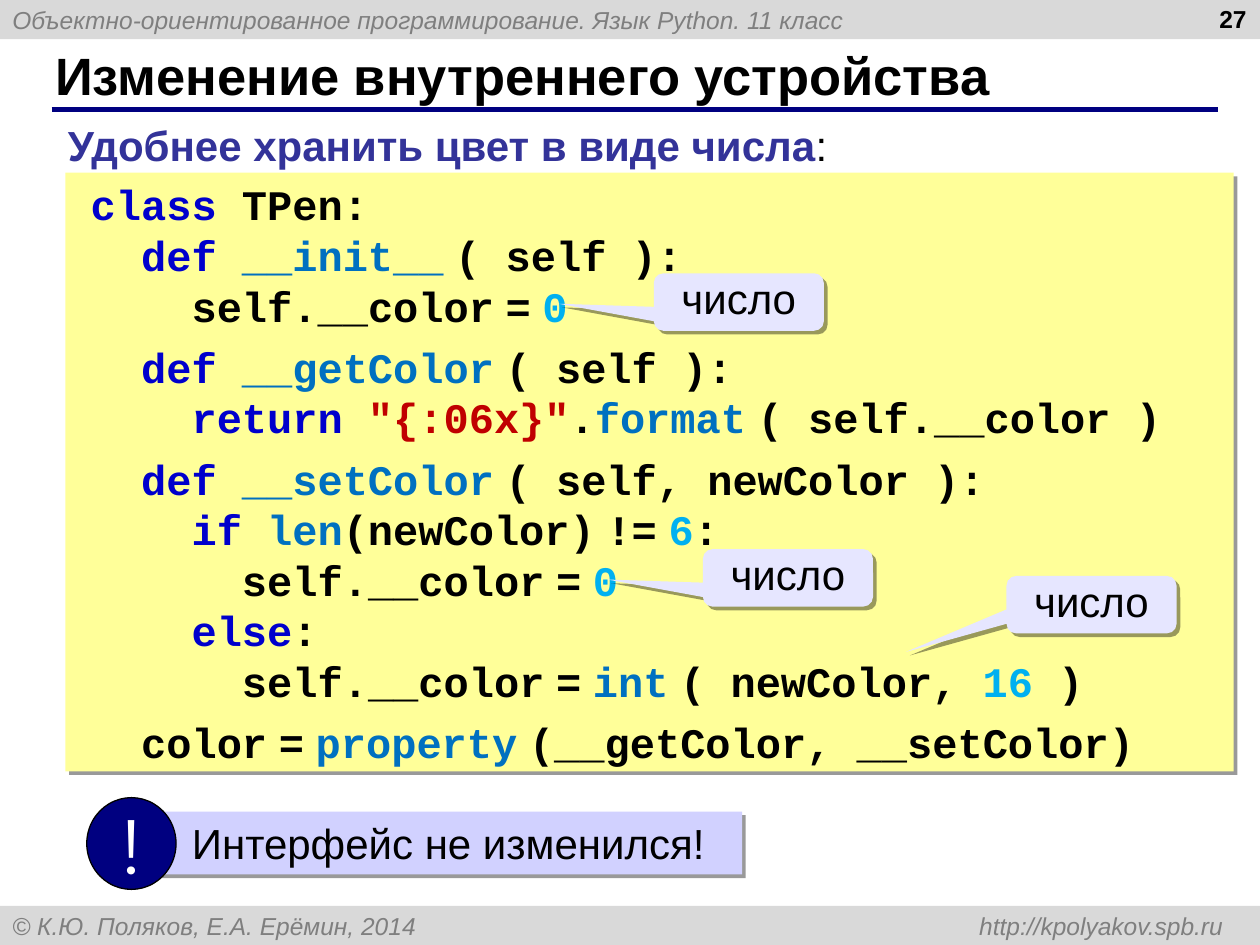
from lxml import etree
from pptx import Presentation
from pptx.dml.color import RGBColor
from pptx.enum.shapes import MSO_CONNECTOR, MSO_SHAPE
from pptx.enum.text import MSO_ANCHOR, PP_ALIGN
from pptx.oxml.ns import qn
from pptx.util import Cm, Pt

RECTANGLE, OVAL = MSO_SHAPE.RECTANGLE, MSO_SHAPE.OVAL
CALLOUT = MSO_SHAPE.ROUNDED_RECTANGULAR_CALLOUT
STRAIGHT = MSO_CONNECTOR.STRAIGHT
TOP, MIDDLE = MSO_ANCHOR.TOP, MSO_ANCHOR.MIDDLE
LEFT, CENTER, RIGHT = PP_ALIGN.LEFT, PP_ALIGN.CENTER, PP_ALIGN.RIGHT

COLORS = {
    "bar": "D9D9D9", "bar text": "7F7F7F", "navy": "000080", "black": "000000",
    "white": "FFFFFF", "lead": "333399", "code": "FFFF99", "note": "D1D1FF",
    "callout": "E6E6FF", "keyword": "0000CC", "name": "0070C0",
    "number": "00B0F0", "string": "C00000", "plain": "000000",
}

HEADER = "Объектно-ориентированное программирование. Язык Python. 11 класс"
FOOTER = "© К.Ю. Поляков, Е.А. Ерёмин, 2014 \thttp://kpolyakov.spb.ru"
TITLE = "Изменение внутреннего устройства"
PAGE_NUMBER = "27"
LEAD = [("Удобнее хранить цвет в виде числа", "lead", True), (":", "black", False)]
NOTE = "Интерфейс не изменился!"

GAP = (" ", "gap")
EQUALS = [GAP, ("=", "plain"), GAP]
CODE = [
    [[("class", "keyword"), (" TPen:", "plain")],
     [("  def ", "keyword"), ("__init__", "name"), GAP, ("( self ):", "plain")],
     [("    self.__color", "plain"), *EQUALS, ("0", "number")]],
    [[("  def ", "keyword"), ("__getColor", "name"), GAP, ("( self ):", "plain")],
     [("    return ", "keyword"), ('"{:06x}"', "string"), (".", "plain"),
      ("format", "name"), GAP, ("( self.__color )", "plain")]],
    [[("  def ", "keyword"), ("__setColor", "name"), GAP,
      ("( self, newColor ):", "plain")],
     [("    if ", "keyword"), ("len", "name"), ("(newColor)", "plain"), GAP,
      ("!=", "plain"), GAP, ("6", "number"), (":", "plain")],
     [("      self.__color", "plain"), *EQUALS, ("0", "number")],
     [("    else", "keyword"), (":", "plain")],
     [("      self.__color", "plain"), *EQUALS, ("int", "name"), GAP,
      ("( newColor, ", "plain"), ("16", "number"), (" )", "plain")]],
    [[("  color", "plain"), *EQUALS, ("property", "name"), GAP,
      ("(__getColor, __setColor)", "plain")]],
]

CALLOUT_TEXT = "число"
CALLOUTS = [
    (13.18, 5.51, -1.06, 0.03),
    (14.17, 11.07, -1.06, 0.03),
    (20.29, 11.61, -1.09, 0.82),
]


def color(name):
    return RGBColor.from_string(COLORS[name])


def style(span, size, tint, bold=False, italic=False, font="Arial"):
    span.font.name = font
    span.font.size = Pt(size)
    span.font.bold = bold
    span.font.italic = italic
    span.font.color.rgb = color(tint)


def add_block(shapes, kind, place, fill, shadow=False):
    shape = shapes.add_shape(kind, *map(Cm, place))
    shape.fill.solid()
    shape.fill.fore_color.rgb = color(fill)
    shape.line.fill.background()
    shape.shadow.inherit = False
    if shadow:
        effects = shape._element.spPr.find(qn("a:effectLst"))
        outer = etree.SubElement(effects, qn("a:outerShdw"), blurRad="0",
                                 dist=str(Pt(3)), dir="2700000", algn="ctr",
                                 rotWithShape="0")
        black = etree.SubElement(outer, qn("a:srgbClr"), val=COLORS["black"])
        etree.SubElement(black, qn("a:alpha"), val="40000")
    return shape


def write(shape, text, size, tint, anchor=TOP, align=LEFT, wrap=True, **look):
    frame = shape.text_frame
    frame.text = text
    frame.word_wrap = wrap
    frame.vertical_anchor = anchor
    para = frame.paragraphs[0]
    para.alignment = align
    for span in para.runs:
        style(span, size, tint, **look)
    return para


def indent(para, left, first=0):
    properties = para._p.get_or_add_pPr()
    properties.set("marL", str(Cm(left)))
    properties.set("indent", str(Cm(first)))
    return properties


def add_frame(page):
    for top, text in ((0, HEADER), (18.26, FOOTER)):
        bar = add_block(page.shapes, RECTANGLE, (0, top, 25.4, 0.79), "bar")
        para = write(bar, text, 14, "bar text", MIDDLE, italic=True)
    tabs = etree.SubElement(para._p.get_or_add_pPr(), qn("a:tabLst"))
    etree.SubElement(tabs, qn("a:tab"), pos=str(Cm(24.41)), algn="r")

    rule = page.shapes.add_connector(STRAIGHT, Cm(1.04), Cm(2.21), Cm(24.56), Cm(2.21))
    rule.line.color.rgb = color("navy")
    rule.line.width = Pt(3)
    etree.SubElement(rule._element.spPr, qn("a:effectLst"))

    title = page.shapes.add_textbox(Cm(0.86), Cm(0.84), Cm(23.27), Cm(1.32))
    write(title, TITLE, 30, "black", MIDDLE, bold=True)
    number = page.shapes.add_textbox(Cm(19.46), Cm(-0.05), Cm(5.92), Cm(1.32))
    write(number, PAGE_NUMBER, 14, "black", align=RIGHT, bold=True)


def add_code(page):
    box = add_block(page.shapes, RECTANGLE, (1.32, 3.48, 23.55, 12.07), "code", True)
    frame = box.text_frame
    frame.word_wrap = True
    frame.vertical_anchor = TOP
    para = frame.paragraphs[0]
    for group_index, group in enumerate(CODE):
        for line_index, line in enumerate(group):
            if group_index or line_index:
                para = frame.add_paragraph()
            indent(para, 0.51, -0.25)
            para.alignment = LEFT
            para.line_spacing = Pt(28.9)
            if group_index and not line_index:
                para.space_before = Pt(6)
            for text, role in line:
                span = para.add_run()
                span.text = text
                gap = role == "gap"
                style(span, 24, "plain" if gap else role, bold=True,
                      font="Arial" if gap else "Courier New")


def add_lead(page):
    box = page.shapes.add_textbox(Cm(1.12), Cm(2.29), Cm(15.88), Cm(1.27))
    box.text_frame.word_wrap = False
    para = box.text_frame.paragraphs[0]
    for text, tint, bold in LEAD:
        span = para.add_run()
        span.text = text
        style(span, 24, tint, bold)


def add_note(page):
    group = page.shapes.add_group_shape()
    strip = add_block(group.shapes, RECTANGLE, (3.15, 16.36, 11.81, 1.27), "note", True)
    indent(write(strip, NOTE, 24, "black"), 0.47)
    badge = add_block(group.shapes, OVAL, (1.75, 16.08, 1.8, 1.85), "navy")
    badge.line.color.rgb = color("black")
    badge.line.width = Pt(0.75)
    write(badge, "!", 44, "white", MIDDLE, CENTER, wrap=False, font="Montserrat")


def add_callouts(page):
    for left, top, tip_x, tip_y in CALLOUTS:
        callout = add_block(page.shapes, CALLOUT, (left, top, 3.43, 1.16), "callout", True)
        for index, value in enumerate((tip_x, tip_y, 0.17)):
            callout.adjustments[index] = value
        para = write(callout, CALLOUT_TEXT, 24, "black", align=CENTER)
        para.line_spacing = 0.8


def main():
    deck = Presentation()
    deck.slide_width, deck.slide_height = Cm(25.4), Cm(19.05)
    page = deck.slides.add_slide(deck.slide_layouts[6])
    add_frame(page)
    add_code(page)
    add_lead(page)
    add_note(page)
    add_callouts(page)
    deck.save("out.pptx")


if __name__ == "__main__":
    main()
